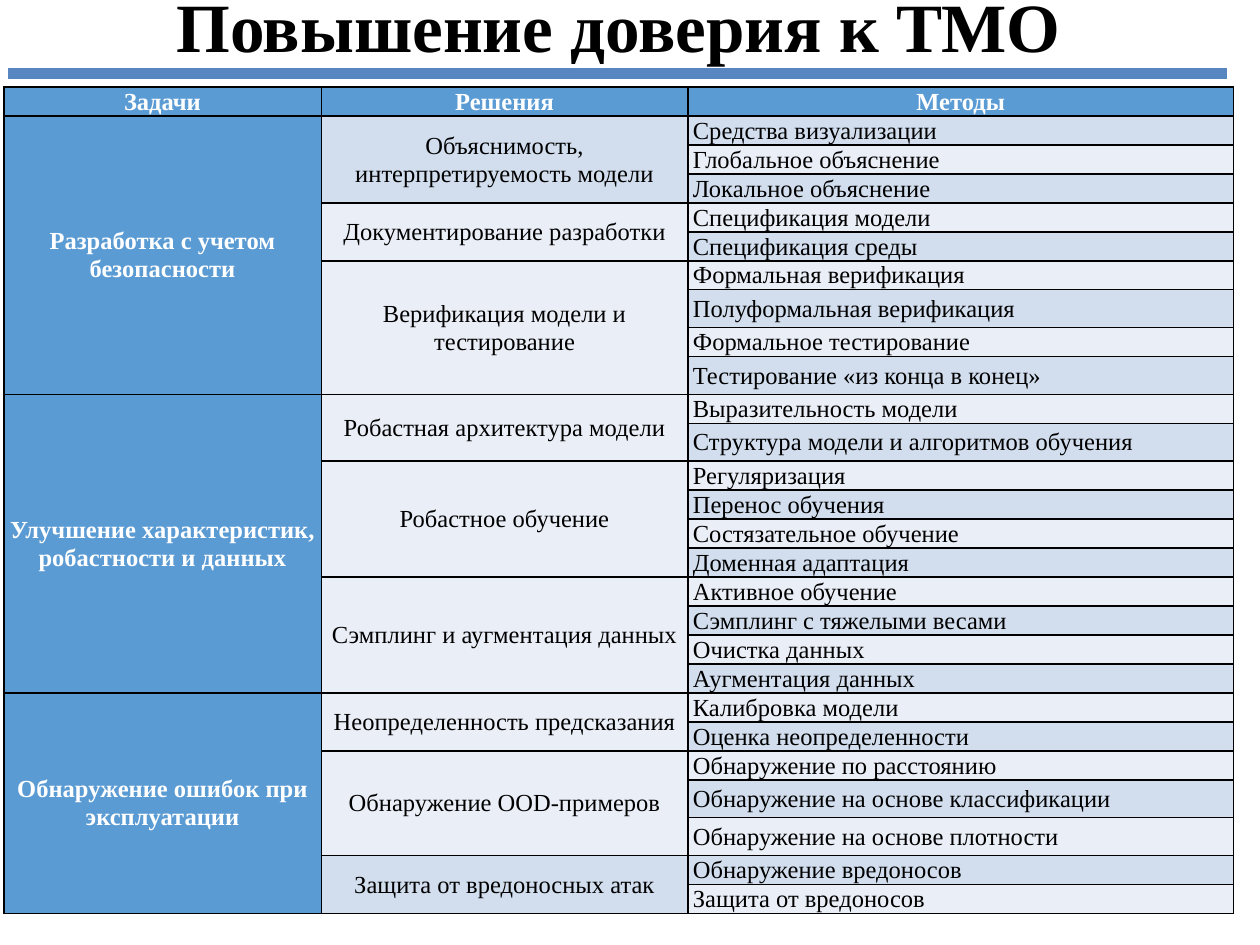
from dataclasses import dataclass

from lxml import etree
from pptx import Presentation
from pptx.dml.color import RGBColor
from pptx.enum.shapes import MSO_CONNECTOR
from pptx.enum.text import MSO_ANCHOR, PP_ALIGN
from pptx.oxml.ns import qn
from pptx.util import Inches, Pt

LEFT, CENTER = PP_ALIGN.LEFT, PP_ALIGN.CENTER
BOTTOM, MIDDLE = MSO_ANCHOR.BOTTOM, MSO_ANCHOR.MIDDLE
STRAIGHT = MSO_CONNECTOR.STRAIGHT
TITLE_ONLY = 5


@dataclass(frozen=True)
class Theme:
    font: str = "Times New Roman"
    title_size: float = 39.5
    table_size: float = 14
    line_spacing: float = 16
    ink: str = "000000"
    light: str = "FFFFFF"
    accent: str = "5B9BD4"
    rule: str = "5786C0"
    stripes: tuple = ("EAEEF7", "D2DEEE")
    border_width: float = 1
    rule_width: float = 6


HEADINGS = ("Задачи", "Решения", "Методы")
TASKS = {
    "Разработка с учетом безопасности": {
        "Объяснимость, интерпретируемость модели": (
            "Средства визуализации", "Глобальное объяснение", "Локальное объяснение"),
        "Документирование разработки": ("Спецификация модели", "Спецификация среды"),
        "Верификация модели и тестирование": (
            "Формальная верификация", "Полуформальная верификация",
            "Формальное тестирование", "Тестирование «из конца в конец»"),
    },
    "Улучшение характеристик, робастности и данных": {
        "Робастная архитектура модели": (
            "Выразительность модели", "Структура модели и алгоритмов обучения"),
        "Робастное обучение": (
            "Регуляризация", "Перенос обучения",
            "Состязательное обучение", "Доменная адаптация"),
        "Сэмплинг и аугментация данных": (
            "Активное обучение", "Сэмплинг с тяжелыми весами",
            "Очистка данных", "Аугментация данных"),
    },
    "Обнаружение ошибок при эксплуатации": {
        "Неопределенность предсказания": ("Калибровка модели", "Оценка неопределенности"),
        "Обнаружение OOD-примеров": (
            "Обнаружение по расстоянию", "Обнаружение на основе классификации",
            "Обнаружение на основе плотности"),
        "Защита от вредоносных атак": ("Обнаружение вредоносов", "Защита от вредоносов"),
    },
}
COLUMN_WIDTHS = (2.52, 2.91, 4.33)
TALL_ROWS = {7, 9, 11, 23, 24}
TALL_HEIGHT, ROW_HEIGHT = 0.3, 0.23


class SlideBuilder:
    def __init__(self, deck, theme):
        self.theme = theme
        self.width, self.height = deck.slide_width, deck.slide_height
        self.slide = deck.slides.add_slide(deck.slide_layouts[TITLE_ONLY])

    def x(self, share):
        return round(self.width * share)

    def y(self, share):
        return round(self.height * share)

    def style(self, paragraph, size, color, bold, align):
        paragraph.alignment = align
        font = paragraph.font
        font.name, font.size, font.bold = self.theme.font, Pt(size), bold
        font.color.rgb = RGBColor.from_string(color)

    def title(self, text, left, top, width, height):
        heading = self.slide.shapes.title
        heading.left, heading.top = self.x(left), self.y(top)
        heading.width, heading.height = self.x(width), self.y(height)
        frame = heading.text_frame
        frame.text = text
        frame.margin_left = frame.margin_right = frame.margin_bottom = 0
        frame.margin_top = Inches(0.02)
        frame.vertical_anchor = BOTTOM
        self.style(frame.paragraphs[0], self.theme.title_size, self.theme.ink, True, LEFT)

    def rule(self, left, right, top):
        line = self.slide.shapes.add_connector(
            STRAIGHT, self.x(left), self.y(top), self.x(right), self.y(top))
        line.line.color.rgb = RGBColor.from_string(self.theme.rule)
        line.line.width = Pt(self.theme.rule_width)
        etree.SubElement(line._element.spPr, qn("a:effectLst"))

    def table(self, left, top, widths, heights):
        frame = self.slide.shapes.add_table(
            len(heights), len(widths), self.x(left), self.y(top),
            Inches(sum(widths)), Inches(sum(heights)))
        table = frame.table
        table.first_row = table.horz_banding = False
        for column, width in zip(table.columns, widths):
            column.width = Inches(width)
        for row, height in zip(table.rows, heights):
            row.height = Inches(height)
        return table

    def borders(self, cell):
        properties = cell._tc.get_or_add_tcPr()
        for side in ("a:lnL", "a:lnR", "a:lnT", "a:lnB"):
            line = etree.SubElement(
                properties, qn(side), w=str(Pt(self.theme.border_width)))
            fill = etree.SubElement(line, qn("a:solidFill"))
            etree.SubElement(fill, qn("a:srgbClr"), val=self.theme.ink)

    def cell(self, cell, text, fill, strong=False, align=CENTER, indent=0.0):
        cell.text = text
        cell.margin_top = cell.margin_bottom = cell.margin_right = 0
        cell.margin_left = Inches(indent)
        cell.vertical_anchor = MIDDLE
        self.borders(cell)
        cell.fill.solid()
        cell.fill.fore_color.rgb = RGBColor.from_string(fill)
        paragraph = cell.text_frame.paragraphs[0]
        paragraph.line_spacing = Pt(self.theme.line_spacing)
        color = self.theme.light if strong else self.theme.ink
        self.style(paragraph, self.theme.table_size, color, strong, align)


def fill_methods_table(builder, table):
    """Write one row per method; tasks and solutions span their methods."""
    theme = builder.theme
    for column, heading in enumerate(HEADINGS):
        builder.cell(table.cell(0, column), heading, theme.accent, strong=True)
    row = 1
    for task, solutions in TASKS.items():
        task_row = row
        for solution, methods in solutions.items():
            solution_row = row
            solution_fill = theme.stripes[solution_row % 2]
            for method in methods:
                builder.cell(table.cell(row, 0), task if row == task_row else "",
                             theme.accent, strong=True)
                builder.cell(table.cell(row, 1), solution if row == solution_row else "",
                             solution_fill)
                builder.cell(table.cell(row, 2), method, theme.stripes[row % 2],
                             align=LEFT, indent=0.04)
                row += 1
            table.cell(solution_row, 1).merge(table.cell(row - 1, 1))
        table.cell(task_row, 0).merge(table.cell(row - 1, 0))


def main():
    deck = Presentation()
    deck.slide_width, deck.slide_height = Inches(10), Inches(7.5)
    builder = SlideBuilder(deck, Theme())
    builder.title("Повышение доверия к ТМО", 0.14, -0.02, 0.71, 0.09)
    method_count = sum(len(methods) for solutions in TASKS.values()
                       for methods in solutions.values())
    heights = [TALL_HEIGHT if row in TALL_ROWS else ROW_HEIGHT
               for row in range(method_count + 1)]
    fill_methods_table(builder, builder.table(0.003, 0.092, COLUMN_WIDTHS, heights))
    builder.rule(0.006, 0.974, 0.078)
    deck.save("out.pptx")


if __name__ == "__main__":
    main()
